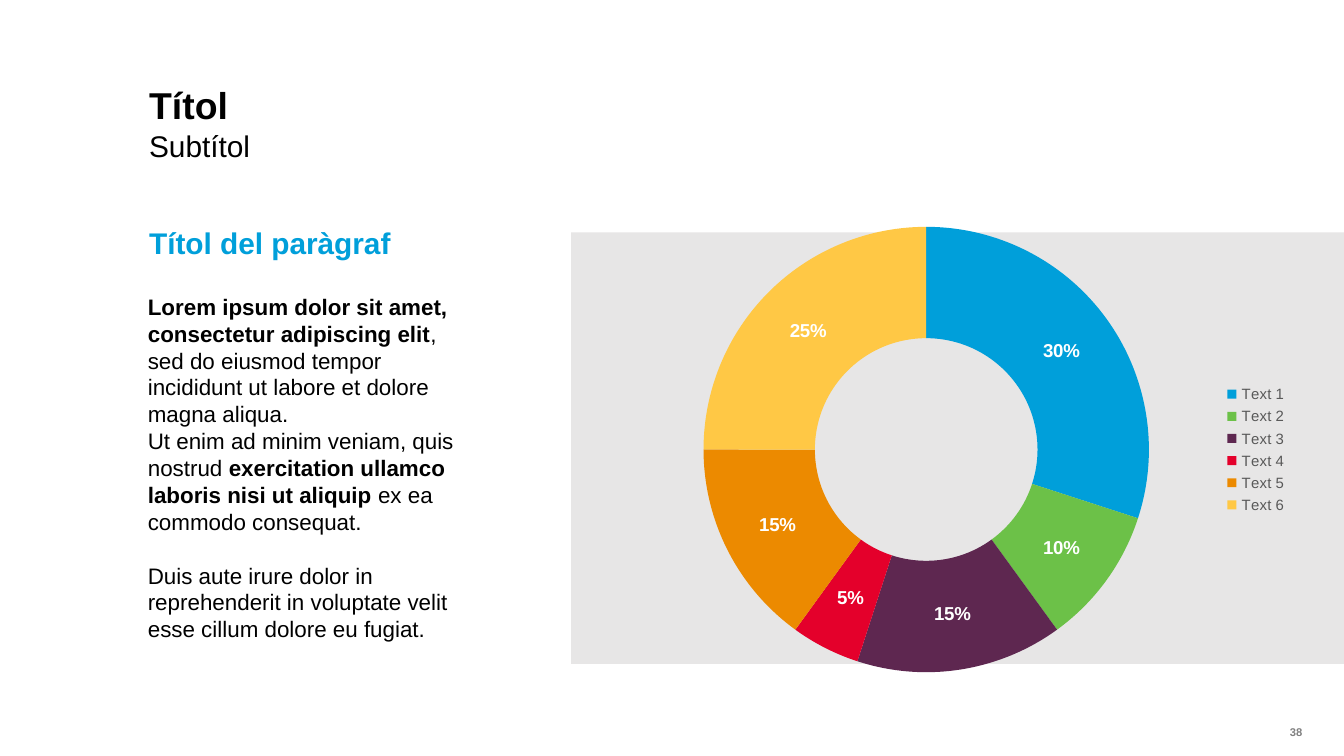
from dataclasses import dataclass
from typing import Any

from pptx import Presentation
from pptx.chart.data import CategoryChartData
from pptx.dml.color import RGBColor
from pptx.enum.chart import XL_CHART_TYPE, XL_LEGEND_POSITION
from pptx.enum.shapes import MSO_SHAPE
from pptx.enum.text import MSO_ANCHOR, MSO_AUTO_SIZE, PP_ALIGN
from pptx.util import Inches, Pt


@dataclass(frozen=True)
class Theme:
    font: str = "Arial"
    black: str = "000000"
    white: str = "FFFFFF"
    blue: str = "009FDA"
    panel: str = "E7E6E6"
    page_number: str = "808080"
    legend: str = "595959"
    slices: tuple[str, ...] = ("009FDA", "6CC148", "5E2750", "E4002B", "EC8A00", "FFC845")
    title_size: float = 20
    heading_size: float = 16
    body_size: float = 12
    body_line: float = 14.4
    label_size: float = 10
    legend_size: float = 8
    page_number_size: float = 6


@dataclass(frozen=True)
class Box:
    left: float
    top: float
    width: float
    height: float

    def lengths(self) -> tuple[int, int, int, int]:
        return Inches(self.left), Inches(self.top), Inches(self.width), Inches(self.height)


@dataclass(frozen=True)
class TextRun:
    text: str
    bold: bool = False


@dataclass(frozen=True)
class TextParagraph:
    runs: tuple[TextRun, ...]
    space_before: float = 0


@dataclass(frozen=True)
class TextBlock:
    box: Box
    paragraphs: tuple[TextParagraph, ...]
    size: float
    color: str
    margins: tuple[float, float, float, float] = (0, 0.05, 0.1, 0.05)
    line_spacing: Any = 0.9
    alignment: PP_ALIGN = PP_ALIGN.LEFT
    wrap: bool = True


def apply_format(target: Any, values: dict[str, Any]) -> None:
    for name, value in values.items():
        setattr(target, name, value)


def format_font(font: Any, size: float, color: str, bold: bool = False) -> None:
    apply_format(font, {"name": THEME.font, "size": Pt(size), "bold": bold})
    font.color.rgb = RGBColor.from_string(color)


def fill_text(shape: Any, block: TextBlock) -> None:
    left, top, width, height = block.box.lengths()
    apply_format(shape, {"left": left, "top": top, "width": width, "height": height})
    frame = shape.text_frame
    sides = ("margin_left", "margin_top", "margin_right", "margin_bottom")
    apply_format(frame, {
        **{side: Inches(margin) for side, margin in zip(sides, block.margins)},
        "word_wrap": block.wrap,
        "auto_size": MSO_AUTO_SIZE.NONE,
        "vertical_anchor": MSO_ANCHOR.TOP,
    })
    for index, content in enumerate(block.paragraphs):
        paragraph = frame.add_paragraph() if index else frame.paragraphs[0]
        apply_format(paragraph, {
            "alignment": block.alignment,
            "line_spacing": block.line_spacing,
            "space_before": Pt(content.space_before),
            "space_after": Pt(0),
        })
        for text_run in content.runs:
            run = paragraph.add_run()
            run.text = text_run.text
            format_font(run.font, block.size, block.color, text_run.bold)


def add_text(slide: Any, block: TextBlock) -> None:
    fill_text(slide.shapes.add_textbox(*block.box.lengths()), block)


def add_panel(slide: Any, box: Box) -> None:
    panel = slide.shapes.add_shape(MSO_SHAPE.RECTANGLE, *box.lengths())
    panel.shadow.inherit = False
    panel.fill.solid()
    panel.fill.fore_color.rgb = RGBColor.from_string(THEME.panel)
    panel.line.fill.background()


def add_doughnut(slide: Any, box: Box, percentages: tuple[int, ...]) -> None:
    data = CategoryChartData()
    data.categories = [f"Text {number}" for number in range(1, len(percentages) + 1)]
    data.add_series("Series 1", percentages)
    chart = slide.shapes.add_chart(XL_CHART_TYPE.DOUGHNUT, *box.lengths(), data).chart
    apply_format(chart, {"has_title": False, "has_legend": True})
    format_font(chart.font, THEME.label_size, THEME.black)
    apply_format(chart.legend, {
        "position": XL_LEGEND_POSITION.RIGHT,
        "include_in_layout": False,
    })
    format_font(chart.legend.font, THEME.legend_size, THEME.legend)
    plot = chart.plots[0]
    plot.vary_by_categories = True
    series = plot.series[0]
    for index, color in enumerate(THEME.slices):
        slice_format = series.points[index].format
        slice_format.fill.solid()
        slice_format.fill.fore_color.rgb = RGBColor.from_string(color)
        slice_format.line.fill.background()
    labels = series.data_labels
    apply_format(labels, {
        "show_percentage": True,
        "show_value": False,
        "number_format": "0%",
        "number_format_is_linked": False,
    })
    format_font(labels.font, THEME.label_size, THEME.white, True)


def single_line(text: str, bold: bool = False) -> tuple[TextParagraph, ...]:
    return (TextParagraph((TextRun(text, bold),)),)


THEME = Theme()

TITLE = TextBlock(
    Box(1.11, 0.6, 3.85, 0.44), single_line("Títol", True), THEME.title_size, THEME.black
)
SUBTITLE = TextBlock(
    Box(1.11, 0.93, 3.85, 0.44), single_line("Subtítol"), THEME.heading_size, THEME.black
)
HEADING = TextBlock(
    Box(1.11, 1.65, 2.28, 0.33), single_line("Títol del paràgraf", True),
    THEME.heading_size, THEME.blue, wrap=False,
)
BODY = TextBlock(
    Box(1.1, 2.18, 2.28, 3.03),
    (
        TextParagraph((
            TextRun("Lorem ipsum dolor sit amet, consectetur adipiscing elit", True),
            TextRun(", sed do eiusmod tempor incididunt ut labore et dolore magna aliqua."),
        )),
        TextParagraph((
            TextRun("Ut enim ad minim veniam, quis nostrud "),
            TextRun("exercitation ullamco laboris nisi ut aliquip ", True),
            TextRun("ex ea commodo consequat."),
        )),
        TextParagraph((
            TextRun("Duis aute irure dolor in reprehenderit in voluptate velit "
                    "esse cillum dolore eu fugiat."),
        ), THEME.body_line),
    ),
    THEME.body_size, THEME.black, (0, 0, 0, 0), Pt(THEME.body_line),
)
PAGE_NUMBER = TextBlock(
    Box(9.11, 5.4, 0.58, 0.1), single_line("38", True), THEME.page_number_size,
    THEME.page_number, (0, 0, 0, 0), 1.0, PP_ALIGN.RIGHT,
)


def main() -> None:
    presentation = Presentation()
    apply_format(presentation, {
        "slide_width": Inches(10),
        "slide_height": Inches(10 * 9 / 16),
    })
    slide = presentation.slides.add_slide(presentation.slide_layouts[5])
    fill_text(slide.shapes.title, TITLE)
    for block in (PAGE_NUMBER, SUBTITLE, HEADING, BODY):
        add_text(slide, block)
    add_panel(slide, Box(4.25, 1.73, 5.79, 3.21))
    add_doughnut(slide, Box(4.69, 1.55, 4.99, 3.59), (30, 10, 15, 5, 15, 25))
    presentation.save("out.pptx")


if __name__ == "__main__":
    main()
